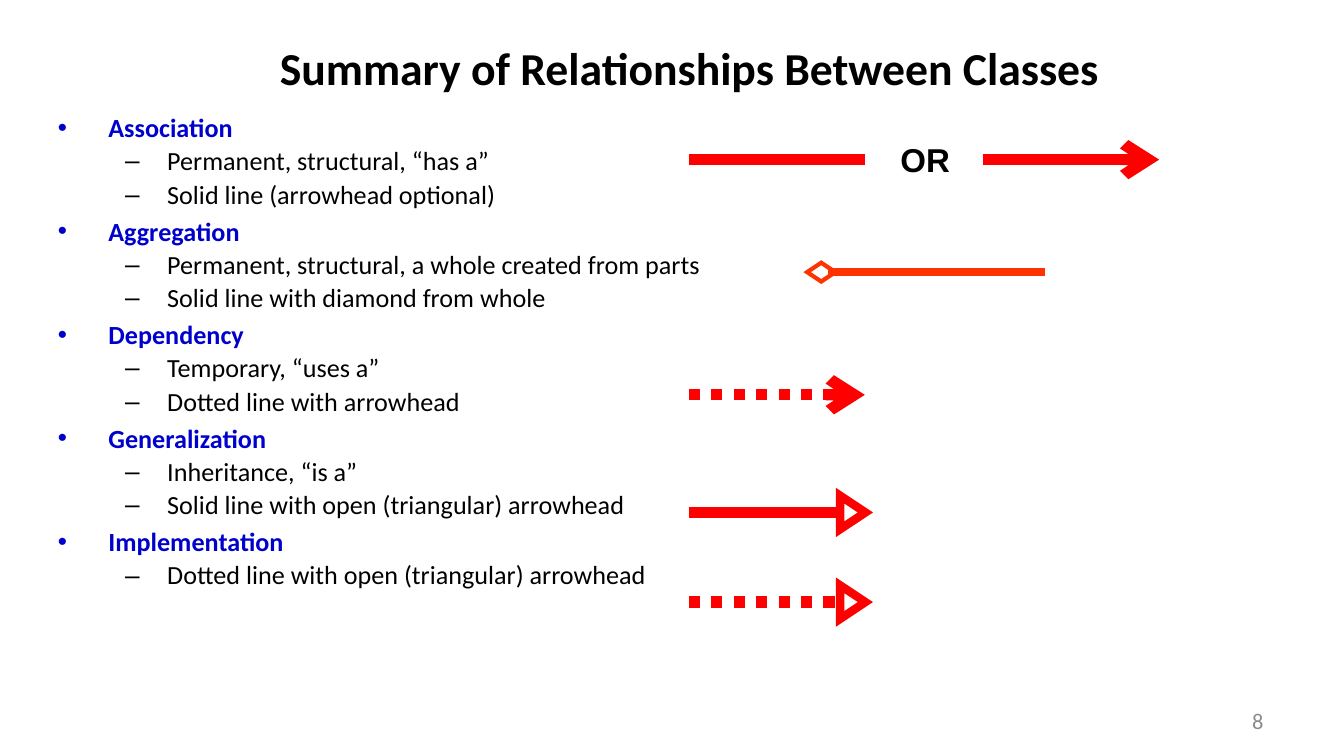
import pptx
import pptx.dml.color
import pptx.enum.dml
import pptx.enum.shapes
import pptx.enum.text
import pptx.oxml.ns
import pptx.util
from dataclasses import dataclass
from lxml import etree

COLORS = {"ink": "000000", "term": "0000CC", "red": "FF0000", "orange": "FF3300", "gray": "8C8C8C"}
WIDTH = 10
HEIGHT = WIDTH * 9 / 16
CELL = WIDTH / 100  # grid of 100 columns; rows have the same pitch
SHAPES = pptx.enum.shapes.MSO_SHAPE
ALIGN = pptx.enum.text.PP_ALIGN
ANCHOR = pptx.enum.text.MSO_ANCHOR


@dataclass
class Line:
    start: float  # column
    end: float    # column
    row: float
    color: str = "red"
    weight: float = 6
    dotted: bool = False
    arrow: bool = False


@dataclass
class Head:
    kind: int
    column: float  # left before the quarter turn
    row: float
    width: float
    height: float
    color: str
    weight: float


@dataclass
class Level:
    margin: float
    hanging: float
    bullet: str
    color: str
    bold: bool
    spacing: float


# Content
RELATIONSHIPS = {
    "Association": ["Permanent, structural, “has a”", "Solid line (arrowhead optional)"],
    "Aggregation": ["Permanent, structural, a whole created from parts",
                    "Solid line with diamond from whole"],
    "Dependency": ["Temporary, “uses a”", "Dotted line with arrowhead"],
    "Generalization": ["Inheritance, “is a”", "Solid line with open (triangular) arrowhead"],
    "Implementation": ["Dotted line with open (triangular) arrowhead"],
}
TERM = Level(3.75, 3.75, "•", "term", True, 1)
DETAIL = Level(8.13, 3.13, "–", "ink", False, 0.9)
ENTRY_SIZE, ENTRY_GAP = 14, 2.8

LEFT, LONG, SHORT = 51.25, 13.1, 11.2
OPEN_ROWS = {38.13: False, 44.8: True}  # generalization solid, implementation dotted
LINES = [
    Line(LEFT, LEFT + LONG, 11.88),
    Line(73.15, 73.15 + LONG, 11.88, arrow=True),
    Line(61.6, 77.75, 20.23, "orange", 4.5),
    Line(LEFT, LEFT + LONG, 29.38, dotted=True, arrow=True),
    *(Line(LEFT, LEFT + SHORT, row, dotted=dotted) for row, dotted in OPEN_ROWS.items()),
]
HEADS = [
    Head(SHAPES.DIAMOND, 60.4, 19.2, 1.4, 2.1, "orange", 2.25),
    *(Head(SHAPES.ISOSCELES_TRIANGLE, 62.2, row - 0.94, 2.5, 1.88, "red", 4.5)
      for row in OPEN_ROWS),
]


def cells(count: float) -> int:
    return pptx.util.Inches(count * CELL)


def rgb(name: str) -> pptx.dml.color.RGBColor:
    return pptx.dml.color.RGBColor.from_string(COLORS[name])


def add_bullet(paragraph, level: Level) -> None:
    properties = paragraph._p.get_or_add_pPr()
    properties.set("marL", str(cells(level.margin)))
    properties.set("indent", str(-cells(level.hanging)))
    for tag, key, value in (("a:buFont", "typeface", "Arial"), ("a:buChar", "char", level.bullet)):
        etree.SubElement(properties, pptx.oxml.ns.qn(tag)).set(key, value)


def write(paragraph, text: str, *, size: float, color: str = "ink", font: str = "Calibri",
          bold: bool = False, align=ALIGN.LEFT, level: Level | None = None,
          before: float = 0) -> None:
    if level:
        add_bullet(paragraph, level)
        paragraph.level = int(level is DETAIL)
        paragraph.line_spacing = level.spacing
    if before:
        paragraph.space_before = pptx.util.Pt(before)
    paragraph.alignment = align
    run = paragraph.add_run()
    run.text = text
    run.font.name, run.font.size, run.font.bold = font, pptx.util.Pt(size), bold
    run.font.color.rgb = rgb(color)


def add_frame(slide, column: float, row: float, width: float, height: float,
              anchor=ANCHOR.TOP, inset: tuple[float, float] = (1, 0.5)):
    frame = slide.shapes.add_textbox(*map(cells, (column, row, width, height))).text_frame
    frame.word_wrap = True
    frame.vertical_anchor = anchor
    frame.margin_left = frame.margin_right = cells(inset[0])
    frame.margin_top = frame.margin_bottom = cells(inset[1])
    return frame


def draw_line(slide, line: Line) -> None:
    connector = slide.shapes.add_connector(
        pptx.enum.shapes.MSO_CONNECTOR.STRAIGHT,
        *map(cells, (line.start, line.row, line.end, line.row)))
    connector.line.color.rgb = rgb(line.color)
    connector.line.width = pptx.util.Pt(line.weight)
    if line.dotted:
        connector.line.dash_style = pptx.enum.dml.MSO_LINE.ROUND_DOT
    if line.arrow:
        outline = connector.line._get_or_add_ln()
        etree.SubElement(outline, pptx.oxml.ns.qn("a:tailEnd")).set("type", "arrow")
    etree.SubElement(connector._element.spPr, pptx.oxml.ns.qn("a:effectLst"))


def draw_head(slide, head: Head) -> None:
    shape = slide.shapes.add_shape(
        head.kind, *map(cells, (head.column, head.row, head.width, head.height)))
    shape.rotation = 90
    shape.shadow.inherit = False
    shape.fill.background()
    shape.line.color.rgb = rgb(head.color)
    shape.line.width = pptx.util.Pt(head.weight)
    # Sharp corners
    outline = shape.line._get_or_add_ln()
    etree.SubElement(outline, pptx.oxml.ns.qn("a:miter")).set("lim", "800000")


def main() -> None:
    deck = pptx.Presentation()
    deck.slide_width, deck.slide_height = pptx.util.Inches(WIDTH), pptx.util.Inches(HEIGHT)
    slide = deck.slides.add_slide(deck.slide_layouts[6])

    # Title
    title = add_frame(slide, 19.3, 0.35, 64, 9.3, ANCHOR.MIDDLE)
    write(title.paragraphs[0], "Summary of Relationships Between Classes",
          size=24.5, bold=True, align=ALIGN.CENTER)

    # Relationships with their details
    summary = add_frame(slide, 3.33, 7.8, 88.4, 35.3)
    entries = [(text, level) for term, details in RELATIONSHIPS.items()
               for text, level in [(term, TERM), *((detail, DETAIL) for detail in details)]]
    for index, (text, level) in enumerate(entries):
        paragraph = summary.add_paragraph() if index else summary.paragraphs[0]
        write(paragraph, text, size=ENTRY_SIZE, color=level.color, bold=level.bold,
              level=level, before=ENTRY_GAP if index else 0)

    # Notation for each relationship
    for line in LINES:
        draw_line(slide, line)
    for head in HEADS:
        draw_head(slide, head)
    choice = add_frame(slide, 66.3, 10, 5.6, 3.7, inset=(0.7, 0.4))
    choice.word_wrap = False
    write(choice.paragraphs[0], "OR", size=17.7, font="Arial", bold=True)

    # Slide number
    number = add_frame(slide, 71.7, 52.15, 23.3, 3, ANCHOR.MIDDLE)
    write(number.paragraphs[0], "8", size=12, color="gray", align=ALIGN.RIGHT)

    deck.save("out.pptx")


if __name__ == "__main__":
    main()
